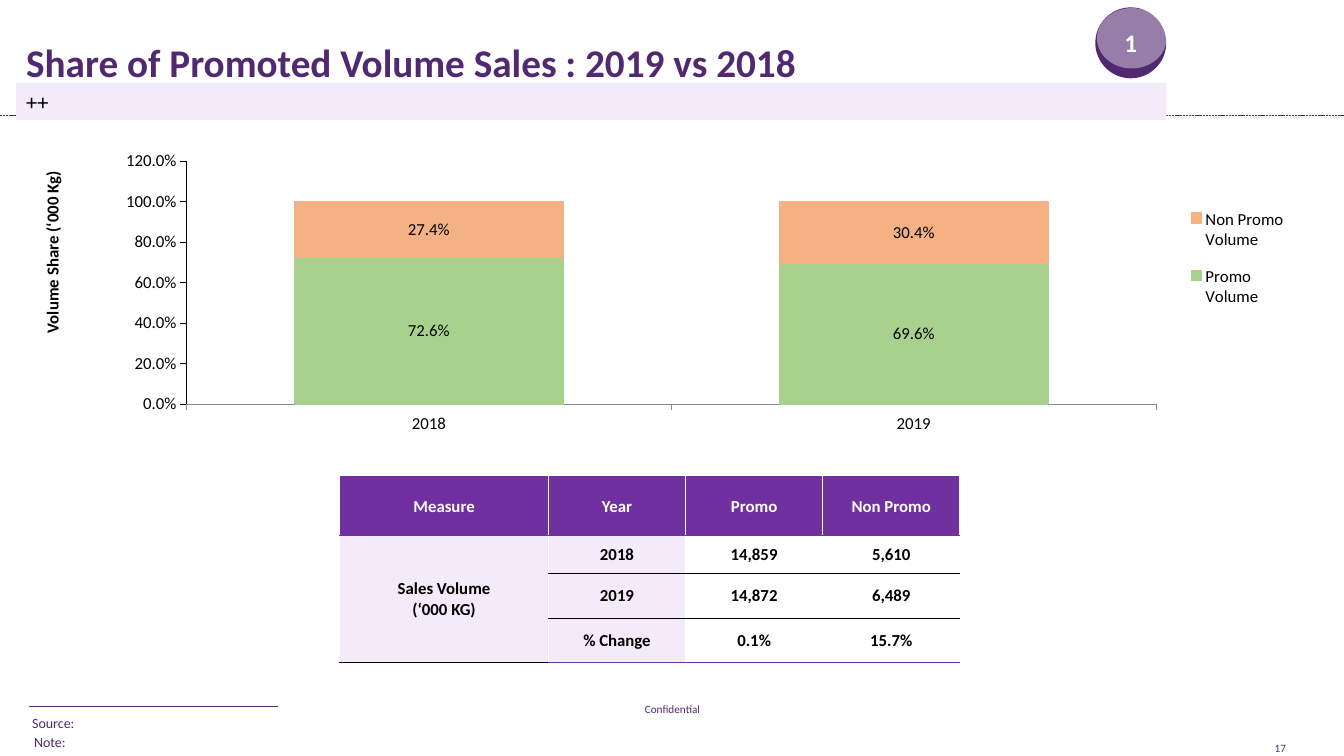
"""Build the slide on the share of promoted volume sales, 2019 vs 2018."""
import pptx
import pptx.chart.data
import pptx.dml.color
import pptx.enum.chart
import pptx.enum.dml
import pptx.enum.shapes
import pptx.enum.text
import pptx.oxml
import pptx.oxml.ns
import pptx.util
from pptx.util import Inches

COLORS = {"plum": "502970", "purple": "7030A0", "lilac": "F3EBF9", "white": "FFFFFF",
          "black": "000000", "green": "A9D18E", "orange": "F4B183", "axis": "8B8B8B"}
RGB = {name: pptx.dml.color.RGBColor.from_string(code) for name, code in COLORS.items()}
ALIGN = pptx.enum.text.PP_ALIGN
MIDDLE = pptx.enum.text.MSO_ANCHOR.MIDDLE
SHAPE = pptx.enum.shapes.MSO_SHAPE
CHART = pptx.enum.chart
NS = pptx.oxml.ns.nsdecls("a")


def write(frame, text, size, color, bold=False, align=ALIGN.LEFT):
    """Put one run per line of text into a frame."""
    frame.vertical_anchor = MIDDLE
    for number, line in enumerate(text.split("\n")):
        para = frame.add_paragraph() if number else frame.paragraphs[0]
        para.alignment = align
        span = para.add_run()
        span.text = line
        span.font.name = "Calibri"
        span.font.size = pptx.util.Pt(size)
        span.font.bold = bold
        span.font.color.rgb = RGB[color]


def place(parent, index, target, **fractions):
    """Give a chart part a manual layout in fractions of the chart."""
    for old in parent.findall(pptx.oxml.ns.qn("c:layout")):
        parent.remove(old)
    inner = '<c:layoutTarget val="inner"/>' if target else ""
    modes = "".join(f'<c:{key}Mode val="edge"/>' for key in "xy")
    sizes = "".join(f'<c:{key} val="{value}"/>' for key, value in fractions.items())
    parent.insert(index, pptx.oxml.parse_xml(
        f'<c:layout {pptx.oxml.ns.nsdecls("c")}><c:manualLayout>{inner}{modes}{sizes}'
        '</c:manualLayout></c:layout>'))


deck = pptx.Presentation()
deck.slide_width, deck.slide_height = Inches(13.33), Inches(7.5)
page = deck.slides.add_slide(deck.slide_layouts[5])

for left, right, top, dash in [(0, 13.33, 1.14, pptx.enum.dml.MSO_LINE.SQUARE_DOT),
                               (0.29, 2.76, 7.01, None)]:
    rule = page.shapes.add_connector(pptx.enum.shapes.MSO_CONNECTOR.STRAIGHT,
                                     Inches(left), Inches(top), Inches(right), Inches(top))
    rule.line.color.rgb = RGB["plum"]
    rule.line.width = pptx.util.Pt(0.5)
    rule.line.dash_style = dash
    rule.element.spPr.append(pptx.oxml.parse_xml(f"<a:effectLst {NS}/>"))

for text, left, top, width, height, size, align in [
        ("17", 12.38, 7.22, 0.64, 0.4, 8, ALIGN.CENTER),
        ("Confidential", 5.27, 6.83, 2.8, 0.4, 8, ALIGN.CENTER),
        ("Source:", 0.22, 7.04, 0.68, 0.27, 10, ALIGN.LEFT),
        ("Note:", 0.24, 7.23, 0.54, 0.27, 10, ALIGN.LEFT)]:
    box = page.shapes.add_textbox(Inches(left), Inches(top), Inches(width), Inches(height))
    box.text_frame.word_wrap = align == ALIGN.CENTER
    write(box.text_frame, text, size, "plum", align=align)

title = page.shapes.title
title.left, title.top, title.width, title.height = map(Inches, (0.16, 0.18, 12, 0.86))
write(title.text_frame, "Share of Promoted Volume Sales : 2019 vs 2018", 28, "plum", True)

table_frame = page.shapes.add_table(4, 4, Inches(3.37), Inches(4.73), Inches(6.16), Inches(1.84))
table = table_frame.table
for column, width in zip(table.columns, (2.07, 1.36, 1.36, 1.36)):
    column.width = Inches(width)
for row, height in zip(table.rows, (0.58, 0.38, 0.44, 0.44)):
    row.height = Inches(height)
rows = [("Measure", "Year", "Promo", "Non Promo"),
        ("Sales Volume\n(‘000 KG)", "2018", "14,859", "5,610"),
        ("", "2019", "14,872", "6,489"),
        ("", "% Change", "0.1%", "15.7%")]
for r, texts in enumerate(rows):
    for c, text in enumerate(texts):
        cell = table.cell(r, c)
        fill = "purple" if r == 0 else "lilac" if c < 2 else "white"
        cell.fill.solid()
        cell.fill.fore_color.rgb = RGB[fill]
        cell.vertical_anchor = MIDDLE
        cell.margin_left = cell.margin_right = cell.margin_top = Inches(0.01)
        cell.margin_bottom = 0
        if text:
            write(cell.text_frame, text, 12, "black" if r else "white", True, ALIGN.CENTER)
        top = ("purple", 1) if r < 2 else ("black", 0.5)
        bottom = ("purple", 1) if r in (0, 3) else ("black", 0.5)
        borders = {"L": ("white", 1), "R": ("white", 1), "T": top, "B": bottom}
        properties = cell._tc.get_or_add_tcPr()
        for index, (side, (color, points)) in enumerate(borders.items()):
            properties.insert(index, pptx.oxml.parse_xml(
                f'<a:ln{side} {NS} w="{int(points * 12700)}"><a:solidFill>'
                f'<a:srgbClr val="{COLORS[color]}"/></a:solidFill></a:ln{side}>'))
table.cell(1, 0).merge(table.cell(3, 0))

data = pptx.chart.data.CategoryChartData(number_format="0.0%")
data.categories = ["2018", "2019"]
data.add_series("Promo Volume", (0.726, 0.696))
data.add_series("Non Promo Volume", (0.274, 0.304))
chart = page.shapes.add_chart(CHART.XL_CHART_TYPE.COLUMN_STACKED, Inches(0.25), Inches(1.43),
                              Inches(12.59), Inches(2.98), data).chart
chart.has_title = False
chart.font.name = "Calibri"
chart.font.size = pptx.util.Pt(12)
chart.font.color.rgb = RGB["black"]
plot = chart.plots[0]
plot.vary_by_categories = False
plot.gap_width, plot.overlap = 80, 100
for series, color in zip(plot.series, ("green", "orange")):
    series.format.fill.solid()
    series.format.fill.fore_color.rgb = RGB[color]
    series.format.line.color.rgb = RGB[color]
    series.format.line.width = pptx.util.Pt(0.75)
    labels = series.data_labels
    labels.show_value = True
    labels.number_format, labels.number_format_is_linked = "0.0%", False
    labels.position = CHART.XL_LABEL_POSITION.CENTER
    labels.font.size = pptx.util.Pt(12)
    labels.font.color.rgb = RGB["black"]

for axis, color in [(chart.category_axis, "axis"), (chart.value_axis, "black")]:
    axis.has_major_gridlines = False
    axis.major_tick_mark = CHART.XL_TICK_MARK.OUTSIDE
    axis.minor_tick_mark = CHART.XL_TICK_MARK.NONE
    axis.format.line.color.rgb = RGB[color]
    axis.format.line.width = pptx.util.Pt(0.75)
shares = chart.value_axis
shares.minimum_scale, shares.maximum_scale, shares.major_unit = 0, 1.2, 0.2
shares.tick_labels.number_format = "0.0%"
shares.tick_labels.number_format_is_linked = False
write(shares.axis_title.text_frame, "Volume Share (‘000 Kg)", 12, "black", True, ALIGN.CENTER)
chart.has_legend = True
chart.legend.position = CHART.XL_LEGEND_POSITION.RIGHT
chart.legend.include_in_layout = False
place(chart.element.xpath(".//c:plotArea")[0], 0, True, x=0.127, y=0.057, w=0.764, h=0.809)
place(chart.element.xpath(".//c:legend")[0], 1, False, x=0.91, y=0.16, w=0.09, h=0.44)
place(chart.element.xpath(".//c:valAx/c:title")[0], 1, False, x=0.01, y=0.08)

badge = page.shapes.add_group_shape()
disc = badge.shapes.add_shape(SHAPE.OVAL, Inches(10.87), Inches(0.08), Inches(0.69), Inches(0.69))
gloss = badge.shapes.add_shape(SHAPE.OVAL, Inches(10.88), Inches(0.08), Inches(0.69), Inches(0.6))
band = page.shapes.add_shape(SHAPE.RECTANGLE, Inches(0.16), Inches(0.82),
                             Inches(11.41), Inches(0.37))
for shape, color in [(disc, "plum"), (gloss, "white"), (band, "lilac")]:
    shape.shadow.inherit = False
    shape.fill.solid()
    shape.fill.fore_color.rgb = RGB[color]
    shape.line.fill.background()
disc.line.color.rgb = RGB["plum"]
disc.line.width = pptx.util.Pt(1)
gloss.element.spPr.xpath("./a:solidFill/a:srgbClr")[0].append(
    pptx.oxml.parse_xml(f'<a:alpha {NS} val="40000"/>'))
write(disc.text_frame, "1", 18, "white", True, ALIGN.CENTER)
write(band.text_frame, "++", 16, "black")

deck.save("out.pptx")
